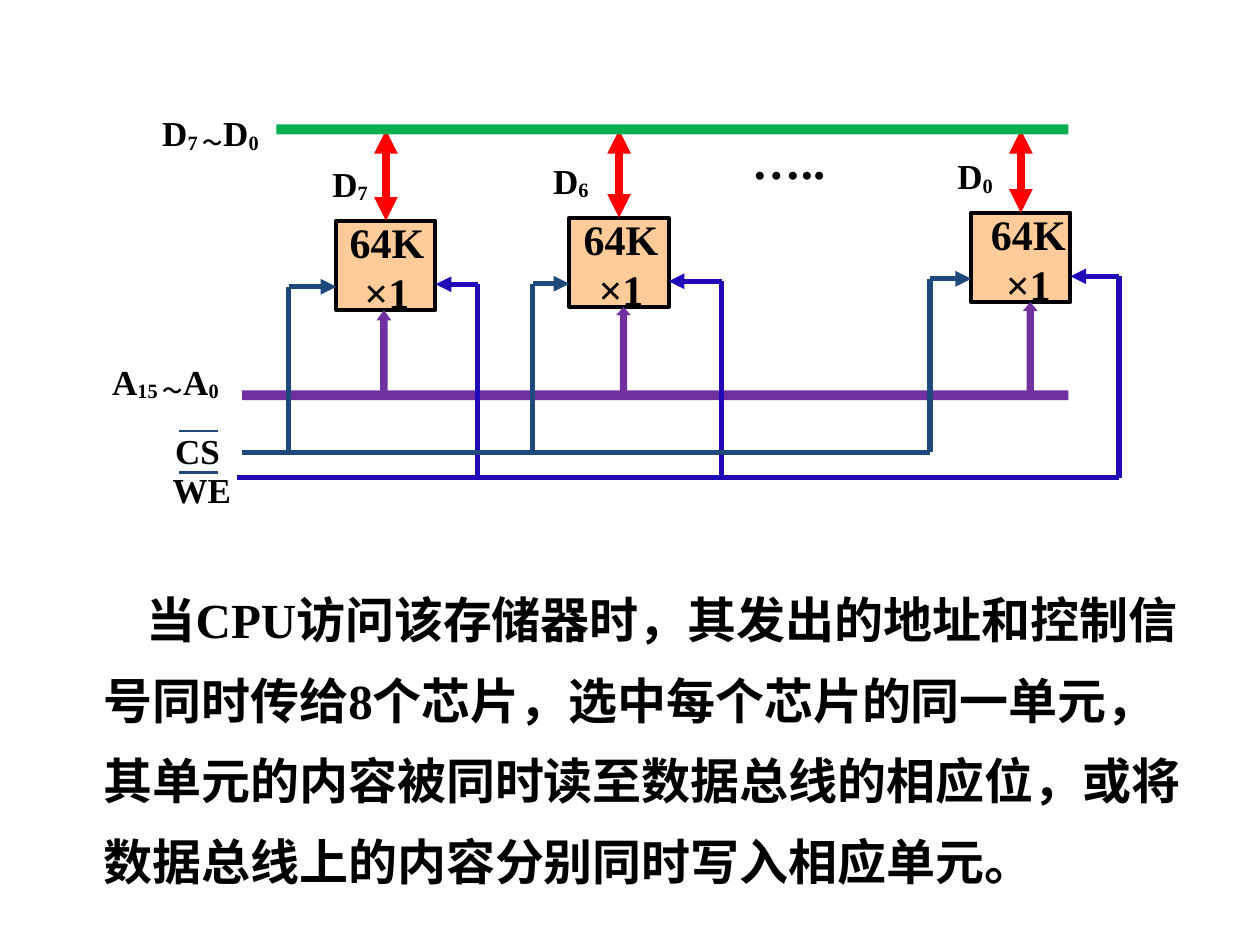
from dataclasses import dataclass

from lxml.etree import SubElement
from pptx import Presentation
from pptx.dml.color import RGBColor
from pptx.enum.shapes import MSO_CONNECTOR, MSO_SHAPE
from pptx.enum.text import MSO_AUTO_SIZE, PP_ALIGN
from pptx.oxml.ns import qn
from pptx.util import Cm, Pt

FONT = "Times New Roman"
BLACK, ORANGE, RED, GREEN = "000000", "FFCC99", "FF0000", "00B050"
PURPLE, NAVY, BLUE = "7030A0", "1F497D", "2209B7"
CHIP_WIDTH, CHIP_HEIGHT = 2.0, 1.8
DATA_BUS, ADDRESS_BUS, SELECT_RAIL, ENABLE_RAIL = 2.51, 7.87, 9.12, 9.63
BUS_THICKNESS = 0.2
EXPLANATION = (
    "当CPU访问该存储器时，其发出的地址和控制信号同时传给8个芯片，"
    "选中每个芯片的同一单元，其单元的内容被同时读至数据总线的相应位，"
    "或将数据总线上的内容分别同时写入相应单元。"
)


@dataclass
class Chip:
    """Place of one memory chip and the offsets of its wires and texts."""

    left: float
    top: float
    bit: str
    bit_left: float
    text_left: float
    select_wire: float
    enable_wire: float
    address_left: float
    arrow_head: float


CHIPS = [
    Chip(6.78, 4.45, "7", -0.33, -0.86, -0.96, 2.85, 0.81, 0.70),
    Chip(11.48, 4.39, "6", -0.58, -0.84, -0.74, 3.07, 0.94, 0.55),
    Chip(19.58, 4.29, "0", -0.53, -0.73, -0.83, 2.98, 1.04, 0.60),
]


def color(value):
    """Turn a hex string into a colour."""
    return RGBColor.from_string(value)


def add_block(slide, kind, left, top, width, height, fill, outline=None):
    """Add a filled preset shape, outlined only when a colour is given."""
    shape = slide.shapes.add_shape(kind, Cm(left), Cm(top), Cm(width), Cm(height))
    shape.shadow.inherit = False
    shape.fill.solid()
    shape.fill.fore_color.rgb = color(fill)
    if outline:
        shape.line.color.rgb = color(outline)
        shape.line.width = Pt(2.25)
    else:
        shape.line.fill.background()
    return shape


def add_line(slide, start, end, stroke, width=3, arrows=()):
    """Add a straight line with arrowheads at the ends named in arrows."""
    connector = slide.shapes.add_connector(
        MSO_CONNECTOR.STRAIGHT, *(Cm(value) for value in (*start, *end))
    )
    connector.line.color.rgb = color(stroke)
    connector.line.width = Pt(width)
    outline = connector.line._get_or_add_ln()
    for name in arrows:
        SubElement(outline, qn(f"a:{name}"), type="triangle")
    SubElement(connector._element.spPr, qn("a:effectLst"))
    return connector


def add_text(slide, left, top, width, height, wrap=True):
    """Add an empty text box and return its text frame."""
    box = slide.shapes.add_textbox(Cm(left), Cm(top), Cm(width), Cm(height))
    box.text_frame.word_wrap = wrap
    box.text_frame.auto_size = MSO_AUTO_SIZE.NONE
    return box.text_frame


def format_run(run, size):
    """Give a run the bold black lettering of the slide."""
    run.font.name = FONT
    run.font.size = Pt(size)
    run.font.bold = True
    run.font.color.rgb = color(BLACK)


def add_label(slide, left, top, *parts):
    """Add a signal label whose every second part is a subscript."""
    paragraph = add_text(slide, left, top, 3.28, 1.09).paragraphs[0]
    for index, part in enumerate(parts):
        run = paragraph.add_run()
        run.text = part
        format_run(run, 20)
        if index % 2:
            run._r.get_or_add_rPr().set("baseline", "-10000")


def draw_chip(slide, chip):
    """Draw one chip with its texts and its wires to the buses and rails."""
    left, top = chip.left, chip.top
    body = add_block(
        slide, MSO_SHAPE.RECTANGLE, left, top, CHIP_WIDTH, CHIP_HEIGHT, ORANGE, BLACK
    )
    bottom = top + CHIP_HEIGHT
    address = add_block(
        slide, MSO_SHAPE.UP_ARROW, left + chip.address_left, bottom,
        0.3, ADDRESS_BUS - bottom + 0.02, PURPLE,
    )
    address.adjustments[0] = 0.5
    address.adjustments[1] = chip.arrow_head

    middle = left + CHIP_WIDTH / 2
    data = add_line(
        slide, (middle, DATA_BUS + 0.11), (middle, top), RED, 4.5, ("headEnd", "tailEnd")
    )
    data.end_connect(body, 0)

    for offset, edge, drop, rail, stroke in (
        (chip.select_wire, left, 1.33, SELECT_RAIL, NAVY),
        (chip.enable_wire, left + CHIP_WIDTH, 1.28, ENABLE_RAIL, BLUE),
    ):
        wire, height = left + offset, top + drop
        add_line(slide, (wire, height), (wire, rail), stroke)
        add_line(slide, (wire, height), (edge, height), stroke, arrows=("tailEnd",))

    add_label(slide, left + chip.bit_left, top - 1.3, "D", chip.bit)
    frame = add_text(slide, left + chip.text_left, top - 0.22, 3.76, 2.18)
    frame.text = "64K\n×1"
    for paragraph in frame.paragraphs:
        paragraph.alignment = PP_ALIGN.CENTER
        format_run(paragraph.runs[0], 24)
    frame.paragraphs[1].line_spacing = 0.4
    frame.paragraphs[1].space_before = Pt(15)


def draw_memory(slide, left, right):
    """Draw the chips between the buses and rails from left to right."""
    add_block(
        slide, MSO_SHAPE.RECTANGLE, left, ADDRESS_BUS,
        right - left, BUS_THICKNESS, PURPLE,
    )
    for chip in CHIPS:
        draw_chip(slide, chip)
    add_block(
        slide, MSO_SHAPE.RECTANGLE, left + 0.69, DATA_BUS,
        right - left - 0.69, BUS_THICKNESS, GREEN,
    )
    last = CHIPS[-1]
    for start, wire, rail, stroke in (
        (left, last.select_wire, SELECT_RAIL, NAVY),
        (left - 0.1, last.enable_wire, ENABLE_RAIL, BLUE),
    ):
        add_line(slide, (start, rail), (last.left + wire, rail), stroke)

    add_label(slide, left - 1.86, 2.13, "D", "7 ～", "D", "0")
    add_label(slide, left - 2.87, 7.14, "A", "15 ～", "A", "0")
    for name, offset, top, bar in (("CS", 1.6, 8.53, 8.69), ("WE", 1.65, 9.32, 9.53)):
        add_label(slide, left - offset, top, name)
        add_line(slide, (left - 1.27, bar), (left - 0.48, bar), NAVY, 1.5)

    dots = add_text(slide, left + 10.03, 2.51, 2.0, 1.45, wrap=False)
    dots.text = "….."
    format_run(dots.paragraphs[0].runs[0], 28)


def draw_explanation(slide, left, top, width, height):
    """Set the explanation with an indented first line."""
    frame = add_text(slide, left, top, width, height)
    frame.text = EXPLANATION
    paragraph = frame.paragraphs[0]
    paragraph.line_spacing = Pt(46)
    properties = paragraph._p.get_or_add_pPr()
    properties.set("marL", str(Cm(0.95)))
    properties.set("indent", str(Cm(0.87)))
    format_run(paragraph.runs[0], 28)


def main():
    """Build the slide and save it."""
    presentation = Presentation()
    presentation.slide_width, presentation.slide_height = Cm(25.4), Cm(19.05)
    slide = presentation.slides.add_slide(presentation.slide_layouts[6])
    draw_memory(slide, 4.88, 21.54)
    draw_explanation(slide, 0.89, 11.33, 23.22, 6.4)
    presentation.save("out.pptx")


if __name__ == "__main__":
    main()
